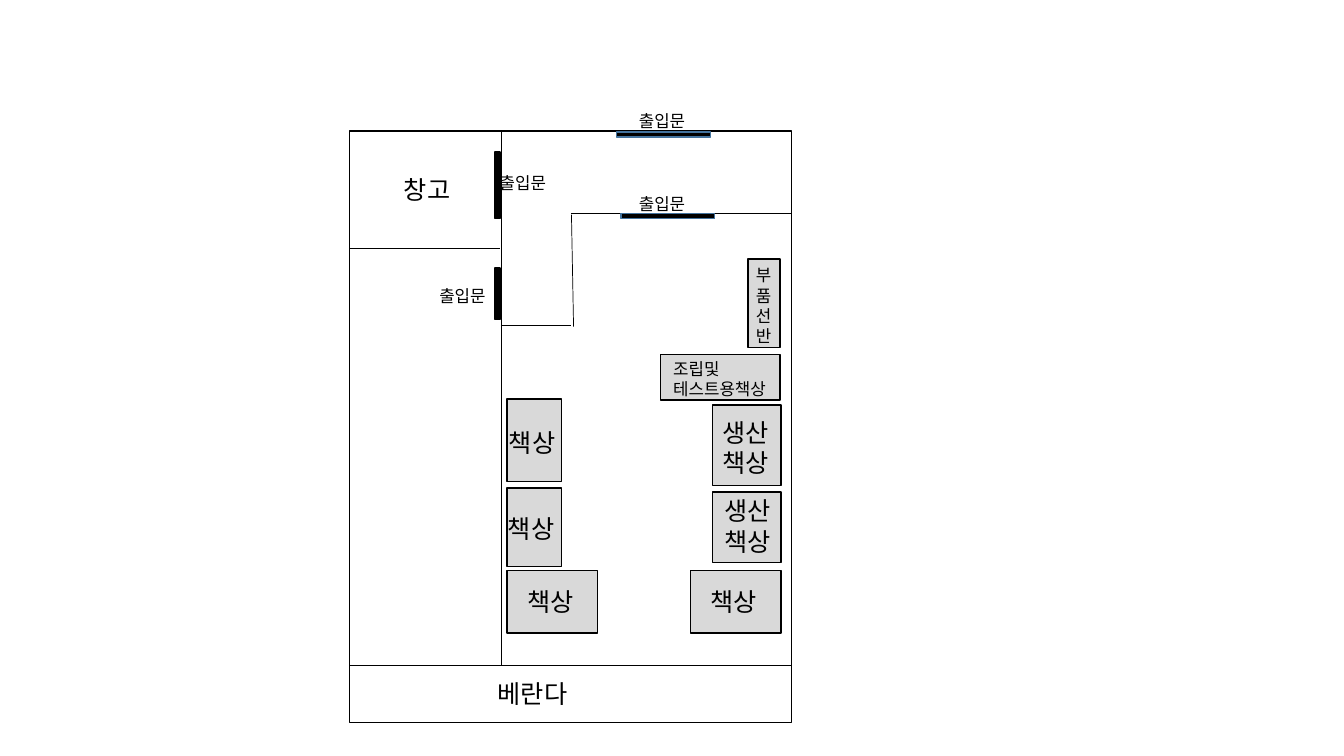
from pptx import Presentation
from pptx.dml.color import RGBColor
from pptx.enum.shapes import MSO_CONNECTOR, MSO_SHAPE
from pptx.enum.text import MSO_ANCHOR, MSO_AUTO_SIZE, PP_ALIGN
from pptx.oxml.ns import qn
from pptx.util import Pt
from lxml.etree import SubElement

FONT = "Noto Sans CJK KR"
BLACK, GRAY, BLUE = "000000", "D9D9D9", "43739E"
LARGE, SMALL = 18, 12
LEFT, RIGHT, TOP, BOTTOM = 249.8, 565.2, 93.6, 516.2
INNER, NOOK, HALL, VERANDA = 357.8, 408.2, 152.6, 475.2

WALLS = [
    (INNER, TOP, INNER, VERANDA),
    (INNER, 232.6, NOOK, 232.6),
    (409.7, 233.3, NOOK, 153.4),
    (NOOK, HALL, RIGHT, HALL),
    (LEFT, VERANDA, RIGHT, VERANDA),
    (357.1, 177.1, LEFT, 177.1),
]

ROOMS = [("창고", 281.5, 121), ("베란다", 348.5, 481)]

FURNITURE = [
    ((509, 289.4, 49, 57.6), "생산\n책상", 509, 294.5, LARGE),
    ((509, 351.4, 49, 50.4), "생산\n책상", 510.5, 350.6, LARGE),
    ((362.2, 285.1, 38.9, 59), "책상", 356.4, 301.7, LARGE),
    ((362.2, 348.5, 38.9, 56.2), "책상", 355.7, 362.9, LARGE),
    ((362.2, 407.5, 64.8, 44.6), "책상", 369.4, 415.4, LARGE),
    ((493.2, 407.5, 64.8, 44.6), "책상", 500.4, 415.4, LARGE),
    ((471.6, 253.4, 85.7, 32.4), "조립및\n테스트용책상", 473.8, 252.7, SMALL),
    ((534.2, 185, 23, 63.4), "부\n품\n선\n반", 532.8, 185.8, SMALL),
]

DOORS = [
    ((443.5, HALL, 67, 3.6), BLUE, 449.3, 134.6),
    ((440.6, 94.3, 67, 3.6), BLUE, 449.3, 75.6),
    ((353.5, 108.7, 3.6, 47.5), BLACK, 349.9, 120.2),
    ((353.5, 191.5, 3.6, 36.7), BLACK, 306.7, 200.2),
]


def color(code):
    return RGBColor.from_string(code)


def apply(target, values):
    for name, value in values.items():
        setattr(target, name, value)


class FloorPlan:
    frame_format = {
        "word_wrap": False,
        "auto_size": MSO_AUTO_SIZE.SHAPE_TO_FIT_TEXT,
        "vertical_anchor": MSO_ANCHOR.TOP,
    }
    inset_x, inset_y, line_height = 7.2, 3.6, 1.2

    def __init__(self, slide):
        self.shapes = slide.shapes.add_group_shape().shapes

    def box(self, bounds, fill=None, line=BLACK):
        area = self.shapes.add_shape(MSO_SHAPE.RECTANGLE, *map(Pt, bounds))
        area.shadow.inherit = False
        if fill:
            area.fill.solid()
            area.fill.fore_color.rgb = color(fill)
        else:
            area.fill.background()
        area.line.color.rgb = color(line)
        area.line.width = Pt(1)

    def wall(self, ends):
        wall = self.shapes.add_connector(MSO_CONNECTOR.STRAIGHT, *map(Pt, ends))
        wall.line.color.rgb = color(BLACK)
        wall.line.width = Pt(0.5)
        SubElement(wall._element.spPr, qn("a:effectLst"))

    def label(self, text, left, top, size):
        lines = text.split("\n")
        width = 2 * self.inset_x + max(map(len, lines)) * size + 0.5
        height = 2 * self.inset_y + len(lines) * size * self.line_height
        frame = self.shapes.add_textbox(*map(Pt, (left, top, width, height))).text_frame
        apply(frame, self.frame_format)
        for index, line in enumerate(lines):
            paragraph = frame.add_paragraph() if index else frame.paragraphs[0]
            apply(paragraph, {"alignment": PP_ALIGN.LEFT,
                              "line_spacing": Pt(size * self.line_height)})
            run = paragraph.add_run()
            run.text = line
            apply(run.font, {"name": FONT, "size": Pt(size)})
            run.font.color.rgb = color(BLACK)
            SubElement(run.font._element, qn("a:ea"), typeface=FONT)


def main():
    deck = Presentation()
    apply(deck, {"slide_width": Pt(960), "slide_height": Pt(540)})
    plan = FloorPlan(deck.slides.add_slide(deck.slide_layouts[6]))
    plan.box((LEFT, TOP, RIGHT - LEFT, BOTTOM - TOP))
    for ends in WALLS:
        plan.wall(ends)
    for name, left, top in ROOMS:
        plan.label(name, left, top, LARGE)
    for bounds, *_ in FURNITURE:
        plan.box(bounds, GRAY)
    for _, name, left, top, size in FURNITURE:
        plan.label(name, left, top, size)
    for bounds, edge, left, top in DOORS:
        plan.box(bounds, BLACK, edge)
        plan.label("출입문", left, top, SMALL)
    deck.save("out.pptx")


if __name__ == "__main__":
    main()
